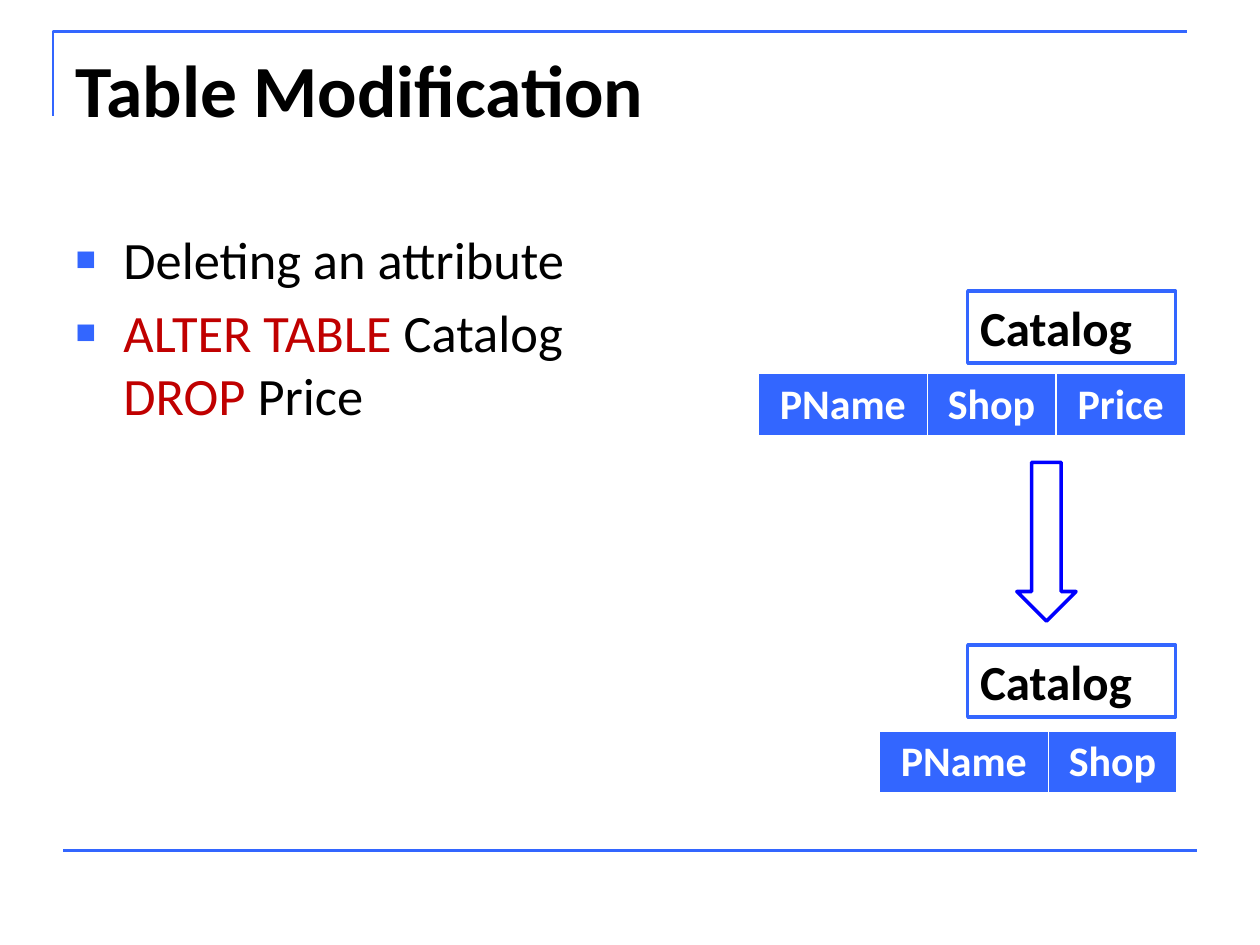
from dataclasses import dataclass

from lxml import etree
from pptx import Presentation
from pptx.dml.color import RGBColor
from pptx.enum.shapes import MSO_CONNECTOR, MSO_SHAPE
from pptx.enum.text import MSO_ANCHOR, MSO_AUTO_SIZE, PP_ALIGN
from pptx.oxml.ns import qn
from pptx.slide import Slide
from pptx.util import Inches, Pt

BLACK = RGBColor(0x00, 0x00, 0x00)
WHITE = RGBColor(0xFF, 0xFF, 0xFF)
ACCENT = RGBColor(0x33, 0x66, 0xFF)
ARROW_BLUE = RGBColor(0x00, 0x00, 0xFF)
KEYWORD_RED = RGBColor(0xC0, 0x00, 0x00)
LEFT, CENTER = PP_ALIGN.LEFT, PP_ALIGN.CENTER
TOP = MSO_ANCHOR.TOP
NO_AUTOFIT = MSO_AUTO_SIZE.NONE
RECTANGLE, DOWN_ARROW = MSO_SHAPE.RECTANGLE, MSO_SHAPE.DOWN_ARROW
STRAIGHT = MSO_CONNECTOR.STRAIGHT
FONT = "Calibri"
COLUMN_WIDTHS = {"PName": 1.34, "Shop": 1.02, "Price": 1.03}
ROW_HEIGHT = 0.5
BORDERS = {"a:lnL": 1, "a:lnR": 1, "a:lnT": 1, "a:lnB": 3}


@dataclass
class Relation:
    name: str
    columns: list[str]
    name_top: float
    table_left: float
    table_top: float


RELATIONS = [
    Relation("Catalog", ["PName", "Shop", "Price"], 2.31, 6.02, 2.96),
    Relation("Catalog", ["PName", "Shop"], 5.12, 6.98, 5.8),
]
BULLETS = [
    [("Deleting an attribute", BLACK)],
    [("ALTER TABLE ", KEYWORD_RED), ("Catalog", BLACK), None,
     ("DROP", KEYWORD_RED), (" Price", BLACK)],
]


def add_text(para, text: str, *, size: float, color: RGBColor = BLACK,
             bold: bool = False, align: PP_ALIGN = LEFT) -> None:
    para.alignment = align
    span = para.add_run()
    span.text = text
    span.font.name = FONT
    span.font.size = Pt(size)
    span.font.bold = bold
    span.font.color.rgb = color


def place(box, left: float, top: float, width: float, height: float) -> None:
    box.left, box.top = Inches(left), Inches(top)
    box.width, box.height = Inches(width), Inches(height)
    frame = box.text_frame
    frame.word_wrap = True
    frame.auto_size = NO_AUTOFIT
    frame.vertical_anchor = TOP


def add_bullet(para) -> None:
    properties = para._p.get_or_add_pPr()
    properties.set("marL", str(Inches(0.38)))
    properties.set("indent", str(Inches(-0.38)))
    color = etree.SubElement(properties, qn("a:buClr"))
    etree.SubElement(color, qn("a:srgbClr"), val=str(ACCENT))
    etree.SubElement(properties, qn("a:buSzPct"), val="65000")
    etree.SubElement(properties, qn("a:buChar"), char="■")


def fill_body(box) -> None:
    frame = box.text_frame
    for index, spans in enumerate(BULLETS):
        para = frame.add_paragraph() if index else frame.paragraphs[0]
        add_bullet(para)
        para.space_before = Pt(6 if index else 0)
        for span in spans:
            if span is None:
                para.add_line_break()
            else:
                add_text(para, span[0], size=30, color=span[1])


def add_frame_lines(page: Slide) -> None:
    builder = page.shapes.build_freeform(Inches(0.42), Inches(0.92))
    builder.add_line_segments(
        [(Inches(0.42), Inches(0.25)), (Inches(9.42), Inches(0.25))], close=False)
    corner = builder.convert_to_shape()
    corner.shadow.inherit = False
    corner.fill.background()
    footer = page.shapes.add_connector(
        STRAIGHT, Inches(0.5), Inches(6.75), Inches(9.5), Inches(6.75))
    etree.SubElement(footer._element.spPr, qn("a:effectLst"))
    for line in (corner.line, footer.line):
        line.color.rgb = ACCENT
        line.width = Pt(1.5)


def add_shape(page: Slide, kind: MSO_SHAPE, left: float, top: float,
              width: float, height: float, color: RGBColor):
    shape = page.shapes.add_shape(
        kind, Inches(left), Inches(top), Inches(width), Inches(height))
    shape.shadow.inherit = False
    shape.fill.background()
    shape.line.color.rgb = color
    shape.line.width = Pt(2)
    return shape


def set_borders(cell) -> None:
    properties = cell._tc.get_or_add_tcPr()
    for index, (tag, width) in enumerate(BORDERS.items()):
        border = etree.Element(qn(tag), w=str(Pt(width)))
        fill = etree.SubElement(border, qn("a:solidFill"))
        etree.SubElement(fill, qn("a:srgbClr"), val=str(WHITE))
        properties.insert(index, border)


def add_relation(page: Slide, relation: Relation) -> None:
    label = add_shape(page, RECTANGLE, 7.68, relation.name_top, 1.65, 0.57, ACCENT)
    label.fill.solid()
    label.fill.fore_color.rgb = WHITE
    label.text_frame.vertical_anchor = TOP
    add_text(label.text_frame.paragraphs[0], relation.name, size=28, bold=True)

    widths = [COLUMN_WIDTHS[name] for name in relation.columns]
    table = page.shapes.add_table(
        1, len(widths), Inches(relation.table_left), Inches(relation.table_top),
        Inches(sum(widths)), Inches(ROW_HEIGHT)).table
    for index, (name, width) in enumerate(zip(relation.columns, widths)):
        table.columns[index].width = Inches(width)
        cell = table.cell(0, index)
        cell.fill.solid()
        cell.fill.fore_color.rgb = ACCENT
        set_borders(cell)
        add_text(cell.text_frame.paragraphs[0], name, size=24, color=WHITE,
                 bold=True, align=CENTER)


def main() -> None:
    deck = Presentation()
    deck.slide_width, deck.slide_height = Inches(10), Inches(7.5)
    page = deck.slides.add_slide(deck.slide_layouts[1])
    title, body = page.placeholders
    place(title, 0.5, 0.3, 9, 1.25)
    add_text(title.text_frame.paragraphs[0], "Table Modification", size=42, bold=True)
    place(body, 0.5, 1.75, 9, 4.95)
    fill_body(body)
    add_frame_lines(page)
    for relation in RELATIONS:
        add_relation(page, relation)
    add_shape(page, DOWN_ARROW, 8.07, 3.67, 0.47, 1.26, ARROW_BLUE)
    deck.save("out.pptx")


if __name__ == "__main__":
    main()
